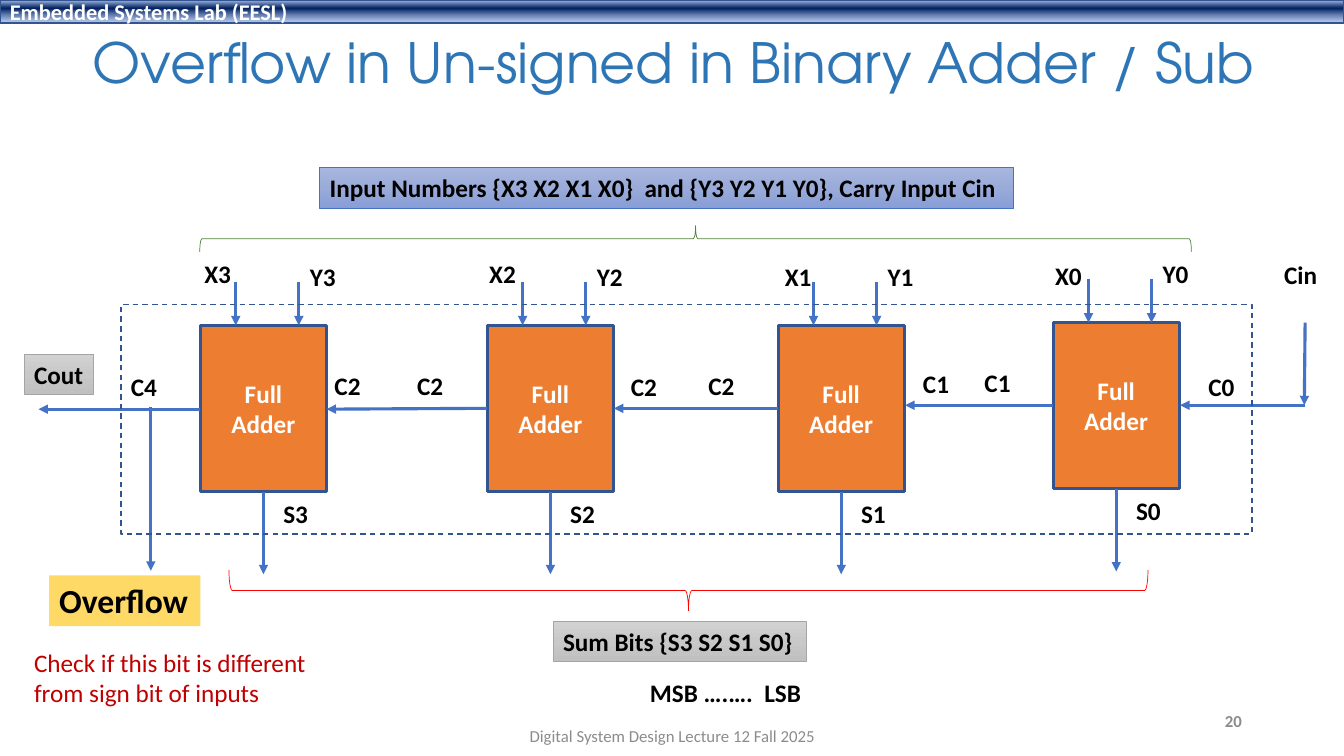
from dataclasses import dataclass

from lxml.etree import SubElement
from pptx import Presentation
from pptx.dml.color import RGBColor
from pptx.enum.dml import MSO_LINE
from pptx.enum.shapes import MSO_CONNECTOR, MSO_SHAPE
from pptx.enum.text import MSO_ANCHOR, MSO_AUTO_SIZE, PP_ALIGN
from pptx.oxml.ns import qn
from pptx.util import Cm, Pt

BLUE, NAVY, ORANGE, GREY = "4472C4", "325491", "ED7D31", "8C8C8C"
# Gradient stops: position in percent, colour, opacity in percent
HEADER_STOPS = [(2, "ABC0E4", 100), (38, "002060", 100), (93, "7E9ED6", 64)]
GREY_STOPS = [(0, "D2D2D2", 100), (50, "C8C8C8", 100), (100, "C0C0C0", 100)]
BLUE_STOPS = [(0, "A8B7DF", 100), (50, "9AABD9", 100), (100, "889ED7", 100)]

ADDER_WIDTH, ADDER_HEIGHT = 3.18, 4.19
INPUT_LENGTH, SUM_LENGTH = 1.09, 2.08
LABEL_WIDTH, LINE_HEIGHT = 1.23, 1.02


@dataclass
class Adder:
    bit: int
    left: float
    top: float
    x_shift: float
    x_top: float
    y_top: float


@dataclass
class Label:
    text: str
    left: float
    top: float
    width: float = LABEL_WIDTH


@dataclass
class Wire:
    x1: float
    y1: float
    x2: float
    y2: float
    arrow: bool = True


ADDERS = [
    Adder(0, 26.54, 8.13, -0.2, 6.43, 6.38),
    Adder(1, 19.61, 8.2, -0.08, 6.46, 6.45),
    Adder(2, 12.28, 8.2, -0.2, 6.38, 6.45),
    Adder(3, 5.05, 8.2, -0.15, 6.38, 6.46),
]
LABELS = [
    Label("C0", 30.2, 9.23),
    Label("C1", 24.56, 9.14),
    Label("C1", 23.01, 9.16),
    Label("C2", 17.6, 9.21),
    Label("C2", 15.65, 9.23),
    Label("C2", 10.26, 9.21),
    Label("C2", 8.18, 9.21),
    Label("C4", 3.05, 9.23),
    Label("Cin", 32.11, 6.4, 1.38),
    Label("MSB ….….  LSB", 16.13, 16.94, 4.4),
]
CARRY_WIRES = [
    Wire(31.04, 10.21, 29.74, 10.21),
    Wire(26.54, 10.21, 22.81, 10.21),
    Wire(19.61, 10.29, 15.47, 10.29),
    Wire(12.27, 10.29, 8.23, 10.31),
    Wire(5.05, 10.31, 0.97, 10.31),
    Wire(3.8, 10.26, 3.8, 14.38),
    Wire(32.89, 8.13, 32.87, 10.21),
    Wire(32.89, 10.21, 30.91, 10.21, arrow=False),
]

deck = Presentation()
deck.slide_width, deck.slide_height = Cm(33.87), Cm(19.05)
slide = deck.slides.add_slide(deck.slide_layouts[6])


def rgb(value: str) -> RGBColor:
    return RGBColor.from_string(value)


def write(shape, text: str, *, size: float = 18, color: str = "000000", bold: bool = True,
          font: str = "Calibri", align=PP_ALIGN.LEFT, anchor=MSO_ANCHOR.TOP,
          wrap: bool = True, grow: bool = False, spacing: float = 1.0) -> None:
    frame = shape.text_frame
    frame.text = text
    frame.word_wrap = wrap
    frame.vertical_anchor = anchor
    frame.auto_size = MSO_AUTO_SIZE.SHAPE_TO_FIT_TEXT if grow else MSO_AUTO_SIZE.NONE
    for paragraph in frame.paragraphs:
        paragraph.alignment = align
        paragraph.line_spacing = spacing
        paragraph.font.name = font
        paragraph.font.size = Pt(size)
        paragraph.font.bold = bold
        paragraph.font.color.rgb = rgb(color)


def add_text(text: str, left: float, top: float, width: float, height: float, **style) -> None:
    write(slide.shapes.add_textbox(Cm(left), Cm(top), Cm(width), Cm(height)), text, **style)


def add_label(label: Label) -> None:
    add_text(label.text, label.left, label.top, label.width, LINE_HEIGHT, wrap=False, grow=True)


def fill_gradient(shape, stops: list[tuple[int, str, int]]) -> None:
    """Fill from top to bottom with any number of stops."""
    shape.fill.gradient()
    shape.fill.gradient_angle = 270
    stop_list = shape.element.spPr.find(qn("a:gradFill")).find(qn("a:gsLst"))
    for old_stop in list(stop_list):
        stop_list.remove(old_stop)
    for position, color, opacity in stops:
        stop = SubElement(stop_list, qn("a:gs"), pos=str(position * 1000))
        tint = SubElement(stop, qn("a:srgbClr"), val=color)
        if opacity < 100:
            SubElement(tint, qn("a:alpha"), val=str(opacity * 1000))


def add_box(left: float, top: float, width: float, height: float, *, fill=None,
            line: str | None = None, weight: float = 0.5, kind=MSO_SHAPE.RECTANGLE):
    """Draw a shape; fill is a colour, a list of gradient stops or None."""
    box = slide.shapes.add_shape(kind, Cm(left), Cm(top), Cm(width), Cm(height))
    box.shadow.inherit = False
    if fill is None:
        box.fill.background()
    elif isinstance(fill, str):
        box.fill.solid()
        box.fill.fore_color.rgb = rgb(fill)
    else:
        fill_gradient(box, fill)
    if line is None:
        box.line.fill.background()
    else:
        box.line.color.rgb = rgb(line)
        box.line.width = Pt(weight)
    return box


def add_wire(wire: Wire) -> None:
    connector = slide.shapes.add_connector(
        MSO_CONNECTOR.STRAIGHT, Cm(wire.x1), Cm(wire.y1), Cm(wire.x2), Cm(wire.y2))
    connector.line.color.rgb = rgb(BLUE)
    connector.line.width = Pt(2.25)
    properties = connector.element.spPr
    if wire.arrow:
        SubElement(properties.find(qn("a:ln")), qn("a:tailEnd"), type="triangle")
    SubElement(properties, qn("a:effectLst"))


def add_adder(adder: Adder) -> None:
    """Draw a full adder with its two inputs, its sum output and their labels."""
    left, top, bit = adder.left, adder.top, adder.bit
    bottom, sum_x = top + ADDER_HEIGHT, left + ADDER_WIDTH / 2
    block = add_box(left, top, ADDER_WIDTH, ADDER_HEIGHT, fill=ORANGE, line=NAVY, weight=2.25)
    write(block, "Full\nAdder", color="FFFFFF", align=PP_ALIGN.CENTER, anchor=MSO_ANCHOR.MIDDLE)
    for input_x in (left + 0.89, left + 2.48):
        add_wire(Wire(input_x, top - INPUT_LENGTH, input_x, top))
    add_wire(Wire(sum_x, bottom, sum_x, bottom + SUM_LENGTH))
    add_label(Label(f"X{bit}", left + adder.x_shift, adder.x_top))
    add_label(Label(f"Y{bit}", left + 2.51, adder.y_top))
    add_label(Label(f"S{bit}", left + 1.84, bottom + 0.03))


header = add_box(0, 0, 33.87, 0.58, fill=HEADER_STOPS, line=NAVY, weight=1)
write(header, "Embedded Systems Lab (EESL)", size=16, color="FFFFFF", anchor=MSO_ANCHOR.MIDDLE)
add_text("Overflow in Un-signed in Binary Adder / Sub", 2.09, 0.66, 30.53, 1.96, size=39.6,
         font="TeX Gyre Adventor", color="2E75B6", bold=False, anchor=MSO_ANCHOR.MIDDLE,
         spacing=0.9)

for full_adder in ADDERS:
    add_adder(full_adder)
for carry_wire in CARRY_WIRES:
    add_wire(carry_wire)
for carry_label in LABELS:
    add_label(carry_label)

adder_outline = add_box(3.05, 7.67, 28.5, 5.79, line=NAVY, weight=1)
adder_outline.line.dash_style = MSO_LINE.DASH
sum_brace = add_box(16.84, 3.3, 1.02, 23.16, line="FF0000", kind=MSO_SHAPE.RIGHT_BRACE)
sum_brace.rotation = 90
input_brace = add_box(17.2, -6.48, 0.66, 24.99, line="548235", kind=MSO_SHAPE.RIGHT_BRACE)
input_brace.rotation = 270

carry_out = add_box(0.61, 8.92, 1.75, LINE_HEIGHT, fill=GREY_STOPS, line="A5A5A5")
write(carry_out, "Cout", grow=True)
sum_bits = add_box(13.94, 15.65, 6.38, LINE_HEIGHT, fill=GREY_STOPS, line="A5A5A5")
write(sum_bits, "Sum Bits {S3 S2 S1 S0}", wrap=False, grow=True)
input_numbers = add_box(8.06, 4.22, 17.48, LINE_HEIGHT, fill=BLUE_STOPS, line=BLUE)
write(input_numbers, "Input Numbers {X3 X2 X1 X0}  and {Y3 Y2 Y1 Y0}, Carry Input Cin",
      wrap=False, grow=True)
overflow = add_box(1.24, 14.5, 3.81, 1.28, fill="FFD966")
write(overflow, "Overflow", size=24, wrap=False, grow=True)

add_text("Check if this bit is different\nfrom sign bit of inputs", 0.61, 16.18, 7.44, 1.8,
         color="C00000", bold=False, wrap=False, grow=True)
add_text("20", 23.93, 17.65, 7.62, LINE_HEIGHT, size=12, color=GREY,
         align=PP_ALIGN.RIGHT, anchor=MSO_ANCHOR.MIDDLE)
add_text("Digital System Design Lecture 12 Fall 2025", 11.23, 18.03, 11.43, LINE_HEIGHT, size=12,
         color=GREY, bold=False, align=PP_ALIGN.CENTER, anchor=MSO_ANCHOR.MIDDLE)

deck.save("out.pptx")
